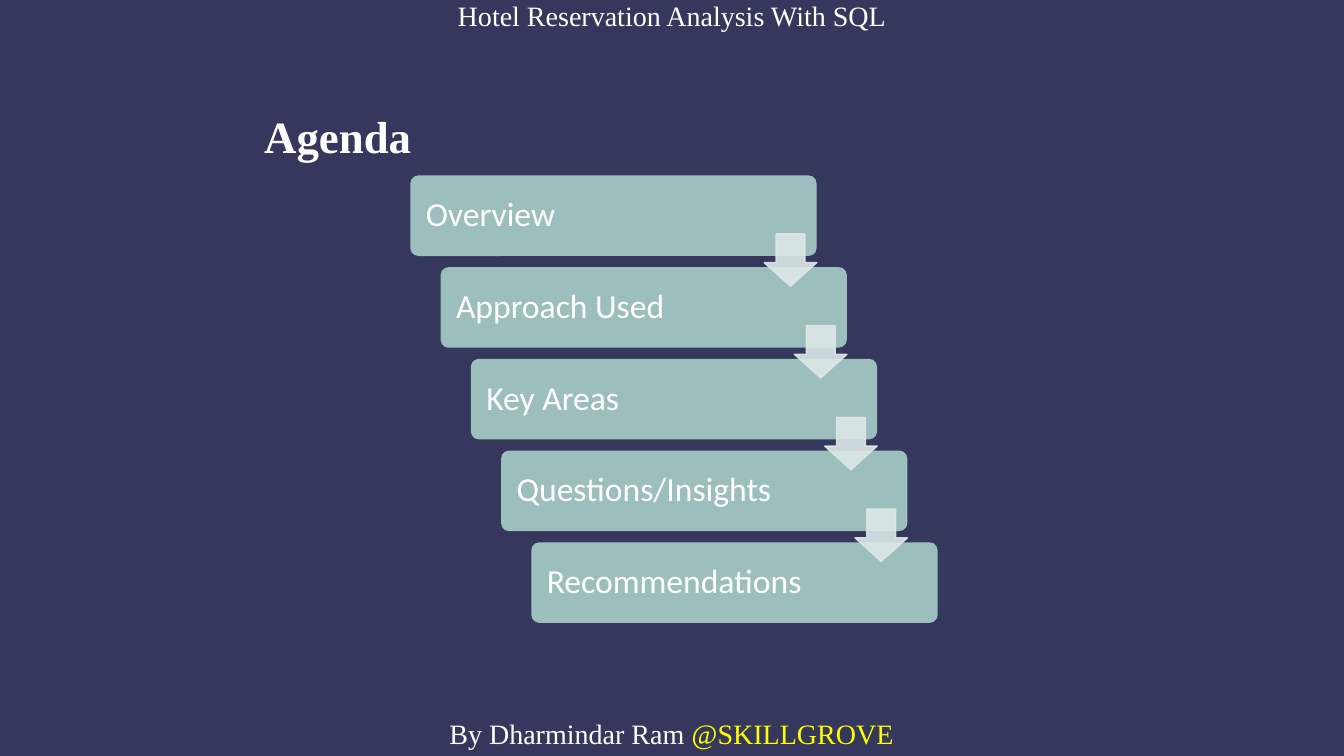
from lxml import etree
from pptx import Presentation
from pptx import util as u
from pptx.dml.color import RGBColor
from pptx.enum import shapes, text
from pptx.oxml.ns import qn

Inches = u.Inches


def color(code):
    return RGBColor.from_string(code)


class Deck:
    """Holds the style and the current slide."""
    back, white, teal, pale, gold = "36375C", "FFFFFF", "9CBEBD", "DEE8E8", "FFFF00"
    serif, sans = "Times New Roman", "Calibri"

    def __init__(self, wide, high):
        self.prs = Presentation()
        self.prs.slide_width, self.prs.slide_height = Inches(wide), Inches(high)
        self.slide = self.prs.slides.add_slide(self.prs.slide_layouts[6])
        fill = self.slide.background.fill
        fill.solid()
        fill.fore_color.rgb = color(self.back)

    def words(self, frame, runs, align, style, **form):
        """Fill a text frame with (line, colour) runs."""
        for key, val in {"word_wrap": True, **form}.items():
            setattr(frame, key, val)
        para = frame.paragraphs[0]
        para.alignment = align
        for line, tint in runs:
            run = para.add_run()
            run.text = line
            for key, val in style.items():
                setattr(run.font, key, val)
            run.font.color.rgb = color(tint)
        return para

    def label(self, box, runs, size, bold=False):
        """Centred serif text box."""
        frame = self.slide.shapes.add_textbox(*map(Inches, box)).text_frame
        style = {"name": self.serif, "size": u.Pt(size), "bold": bold}
        self.words(frame, runs, text.PP_ALIGN.CENTER, style)

    def shape(self, kind, box, tint, adjust):
        item = self.slide.shapes.add_shape(kind, *map(Inches, box))
        item.shadow.inherit = False
        item.fill.solid()
        item.fill.fore_color.rgb = color(tint)
        item.line.fill.background()
        for i, val in enumerate(adjust):
            item.adjustments[i] = val
        return item

    def step(self, box, name):
        """Rounded bar with its text on the left."""
        bar = self.shape(shapes.MSO_SHAPE.ROUNDED_RECTANGLE, box, self.teal, [0.1])
        style = {"name": self.sans, "size": u.Pt(24)}
        para = self.words(bar.text_frame, [(name, self.white)], text.PP_ALIGN.LEFT, style,
                          margin_left=Inches(0.13),
                          vertical_anchor=text.MSO_ANCHOR.MIDDLE)
        para.line_spacing = 0.9

    def arrow(self, box):
        """Slightly clear arrow pointing down."""
        item = self.shape(shapes.MSO_SHAPE.DOWN_ARROW, box, self.pale, [0.55, 0.45])
        item.line.width = u.Pt(1)
        item.line.color.rgb = color(self.pale)
        for tint in item._element.spPr.iter(qn("a:srgbClr")):
            etree.SubElement(tint, qn("a:alpha")).set("val", "90000")


def main():
    deck = Deck(13.33, 7.5)

    # Heading
    deck.label((1.87, 1.03, 2.96, 0.71), [("Agenda", deck.white)], 32, True)

    # Staircase of steps
    steps = ["Overview", "Approach Used", "Key Areas", "Questions/Insights", "Recommendations"]
    left, top, wide, high = 4.07, 1.74, 4.03, 0.8
    right, down, side = 0.3, 0.91, 0.52
    for i, name in enumerate(steps):
        deck.step((left + i * right, top + i * down, wide, high), name)

    # Arrows at the right end of each step but the last
    for i in range(len(steps) - 1):
        deck.arrow((left + wide - side + i * right, top + 0.58 + i * down, side, side))

    # Header and footer
    deck.label((4.07, -0.06, 5.19, 0.44),
               [("Hotel Reservation Analysis With SQL", deck.white)], 20)
    deck.label((2.79, 7.06, 7.74, 0.44),
               [("By Dharmindar Ram ", deck.white), ("@SKILLGROVE", deck.gold)], 20)

    deck.prs.save("out.pptx")


if __name__ == "__main__":
    main()
